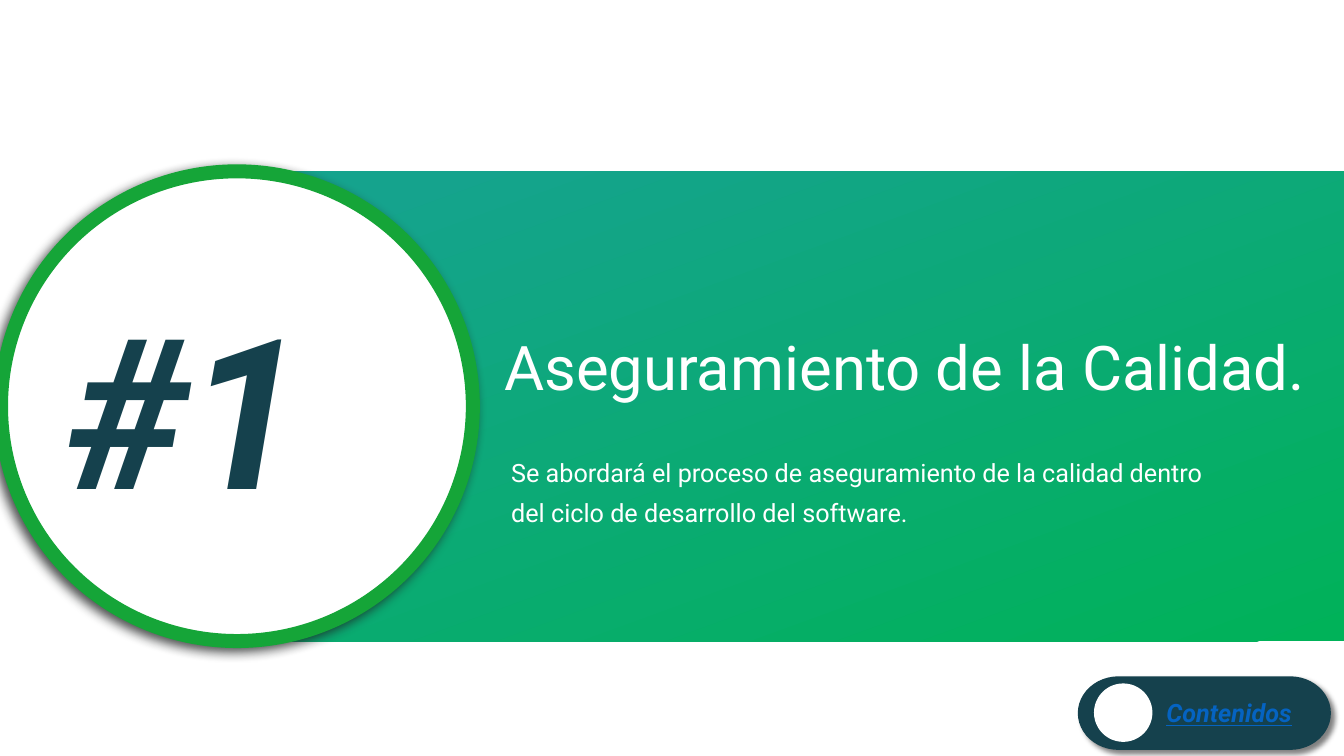
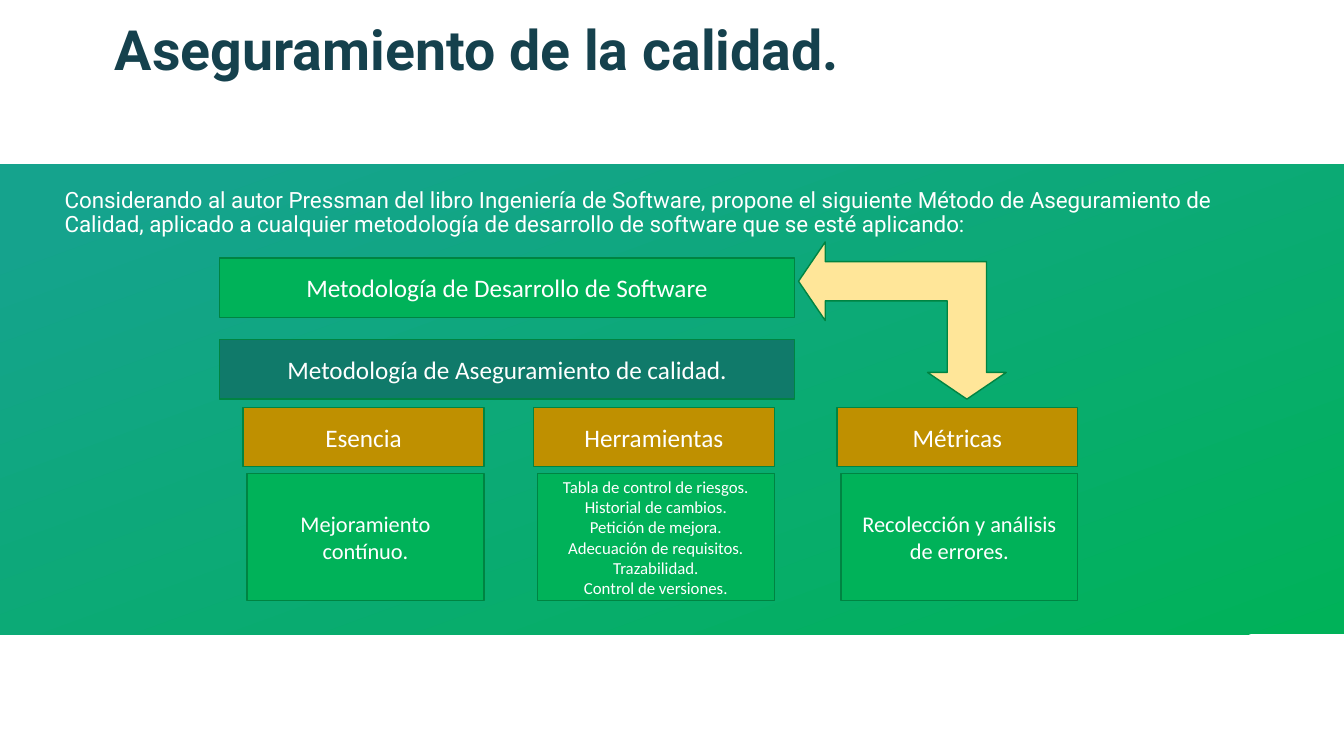
from dataclasses import dataclass

from pptx import Presentation
from pptx.dml.color import RGBColor
from pptx.enum.shapes import MSO_SHAPE
from pptx.enum.text import MSO_ANCHOR, MSO_AUTO_SIZE, PP_ALIGN
from pptx.oxml import parse_xml
from pptx.oxml.ns import nsdecls
from pptx.util import Inches, Pt

RECT, OVAL = MSO_SHAPE.RECTANGLE, MSO_SHAPE.OVAL
PILL, ELBOW = MSO_SHAPE.FLOWCHART_TERMINATOR, MSO_SHAPE.LEFT_UP_ARROW
LEFT, CENTER = PP_ALIGN.LEFT, PP_ALIGN.CENTER
TOP, MIDDLE = MSO_ANCHOR.TOP, MSO_ANCHOR.MIDDLE
NO_FIT = MSO_AUTO_SIZE.NONE

WHITE = RGBColor(0xFF, 0xFF, 0xFF)
NAVY = RGBColor(0x15, 0x41, 0x4D)
GREEN = RGBColor(0x00, 0xB2, 0x59)
TURQUOISE = RGBColor(0x15, 0xA3, 0x8D)
RING = RGBColor(0x15, 0xA5, 0x38)
TEAL = RGBColor(0x10, 0x7A, 0x6A)
GOLD = RGBColor(0xBF, 0x90, 0x00)
CREAM = RGBColor(0xFF, 0xE6, 0x99)
EDGE = RGBColor(0x00, 0x84, 0x42)
LINK = RGBColor(0x05, 0x63, 0xC1)
SHADE = RGBColor(0x1F, 0x22, 0x22)
BLACK = RGBColor(0x00, 0x00, 0x00)

SLIDE_W, SLIDE_H = 13.33, 7.5
BAND_H = 4.66


@dataclass
class Box:
    x: float
    y: float
    w: float
    h: float

    def emu(self):
        return [Inches(v) for v in (self.x, self.y, self.w, self.h)]


@dataclass
class Style:
    size: float
    color: RGBColor = WHITE
    font: str = "Roboto"
    bold: bool = False
    italic: bool = False
    underline: bool = False
    align: PP_ALIGN = LEFT
    anchor: MSO_ANCHOR = TOP
    spacing: float = 1.0
    before: float = 0


@dataclass
class Column:
    x: float
    heading: str
    detail: str
    size: float


def write(sp, text: str, st: Style) -> None:
    """Fill a shape with one paragraph; newlines become line breaks."""
    tf = sp.text_frame
    tf.word_wrap, tf.auto_size, tf.vertical_anchor = True, NO_FIT, st.anchor
    p = tf.paragraphs[0]
    p.alignment, p.line_spacing, p.space_before = st.align, st.spacing, Pt(st.before)
    for i, line in enumerate(text.split("\n")):
        if i:
            p.add_line_break()
        r = p.add_run()
        r.text = line
        f = r.font
        f.name, f.size, f.color.rgb = st.font, Pt(st.size), st.color
        f.bold, f.italic, f.underline = st.bold, st.italic, st.underline


def add_box(shapes, kind, box: Box, fill: RGBColor, line=None, width: float = 1):
    sp = shapes.add_shape(kind, *box.emu())
    sp.shadow.inherit = False
    sp.fill.solid()
    sp.fill.fore_color.rgb = fill
    if line is None:
        sp.line.fill.background()
    else:
        sp.line.color.rgb, sp.line.width = line, Pt(width)
    return sp


def add_text(shapes, box: Box, text: str, st: Style) -> None:
    write(shapes.add_textbox(*box.emu()), text, st)


def add_shadow(sp, color: RGBColor, alpha: int, blur: float, dist: float, angle: int) -> None:
    effects = sp._element.spPr.find("{*}effectLst")
    effects.append(parse_xml(
        f'<a:outerShdw {nsdecls("a")} blurRad="{Pt(blur)}" dist="{Pt(dist)}" '
        f'dir="{angle * 60000}" algn="ctr" rotWithShape="0"><a:srgbClr val="{color}">'
        f'<a:alpha val="{alpha * 1000}"/></a:srgbClr></a:outerShdw>'))


def add_band(s, x: float, y: float) -> None:
    """Gradient band that runs to the right edge, behind everything else."""
    sp = add_box(s.shapes, RECT, Box(x, y, SLIDE_W - x, BAND_H), GREEN)
    sp.rotation = 180
    sp.fill.gradient()
    sp.fill.gradient_angle = 290  # counter-clockwise
    for stop, color, pos in zip(sp.fill.gradient_stops, (GREEN, TURQUOISE), (0, 0.92)):
        stop.color.rgb, stop.position = color, pos
    sp._element.getparent().insert(2, sp._element)


def fill_title(s, box: Box, text: str, st: Style) -> None:
    sp = s.shapes.title
    sp.left, sp.top, sp.width, sp.height = box.emu()
    write(sp, text, st)


def fill_body(s, box: Box, text: str, st: Style) -> None:
    sp = s.placeholders[1]
    sp.left, sp.top, sp.width, sp.height = box.emu()
    write(sp, text, st)
    pPr = sp.text_frame.paragraphs[0]._p.get_or_add_pPr()
    pPr.set("marL", "0")
    pPr.set("indent", "0")
    pPr.append(parse_xml(f'<a:buNone {nsdecls("a")}/>'))


def build_section(s) -> None:
    add_band(s, 2.36, 1.7)
    fill_title(s, Box(4.9, 2.95, 8.21, 1.45), "Aseguramiento de la Calidad.",
               Style(44, anchor=MIDDLE, spacing=0.9))
    fill_body(s, Box(4.97, 4.4, 7.27, 0.89),
              "Se abordará el proceso de aseguramiento de la calidad dentro "
              "del ciclo de desarrollo del software.", Style(18, spacing=1.3))
    # Numbered circle
    circle = add_box(s.shapes, OVAL, Box(0.01, 1.7, 4.68, BAND_H), WHITE, RING, 10)
    add_shadow(circle, SHADE, 80, 8, 4, 140)
    add_text(s.shapes, Box(0.56, 2.72, 3.6, 2.63), "#1",
             Style(150, NAVY, bold=True, italic=True))
    # Contents button
    button = s.shapes.add_group_shape().shapes
    pill = add_box(button, PILL, Box(10.69, 6.71, 2.51, 0.73), NAVY)
    add_shadow(pill, BLACK, 50, 4, 4, 45)
    add_text(button, Box(11.47, 6.87, 1.68, 0.4), "Contenidos",
             Style(18, LINK, bold=True, italic=True, underline=True))
    add_box(button, OVAL, Box(10.85, 6.78, 0.58, 0.58), WHITE)


def build_method(s) -> None:
    add_band(s, 0, 1.63)
    fill_title(s, Box(1.04, 0.06, 10.65, 0.92), "Aseguramiento de la calidad.",
               Style(39.6, NAVY, bold=True, anchor=MIDDLE, spacing=0.9))
    fill_body(s, Box(0.54, 1.83, 12.25, 4.27),
              "Considerando al autor Pressman del libro Ingeniería de Software, propone "
              "el siguiente Método de Aseguramiento de Calidad, aplicado a cualquier "
              "metodología de desarrollo de software que se esté aplicando:",
              Style(16, spacing=0.9, before=10))

    def label(box: Box, fill: RGBColor, text: str, size: float = 18) -> None:
        sp = add_box(s.shapes, RECT, box, fill, EDGE)
        write(sp, text, Style(size, font="Calibri", align=CENTER, anchor=MIDDLE))

    # Methodology bars
    bars = (("Metodología de Desarrollo de Software", GREEN),
            ("Metodología de Aseguramiento de calidad.", TEAL))
    for i, (text, fill) in enumerate(bars):
        label(Box(2.18, 2.56 + 0.81 * i, 5.7, 0.59), fill, text)
    # Columns: heading over detail
    columns = (
        Column(2.41, "Esencia", "Mejoramiento contínuo.", 16),
        Column(5.29, "Herramientas",
               "Tabla de control de riesgos.\nHistorial de cambios.\n"
               "Petición de mejora.\nAdecuación de requisitos.\n"
               "Trazabilidad.\nControl de versiones.", 12),
        Column(8.3, "Métricas", "Recolección y análisis de errores.", 16),
    )
    for col in columns:
        label(Box(col.x, 4.04, 2.39, 0.59), GOLD, col.heading)
        label(Box(col.x + 0.04, 4.7, 2.35, 1.26), GREEN, col.detail, col.size)
    # Arrow from the bars to the metrics
    arrow = add_box(s.shapes, ELBOW, Box(8.17, 2.15, 1.56, 2.06), CREAM, EDGE)
    arrow.rotation = 270
    for i, share in enumerate((0.25, 0.25, 0.17)):
        arrow.adjustments[i] = share


def main() -> None:
    prs = Presentation()
    prs.slide_width, prs.slide_height = Inches(SLIDE_W), Inches(SLIDE_H)
    for build in (build_section, build_method):
        build(prs.slides.add_slide(prs.slide_layouts[1]))
    prs.save("out.pptx")


if __name__ == "__main__":
    main()
